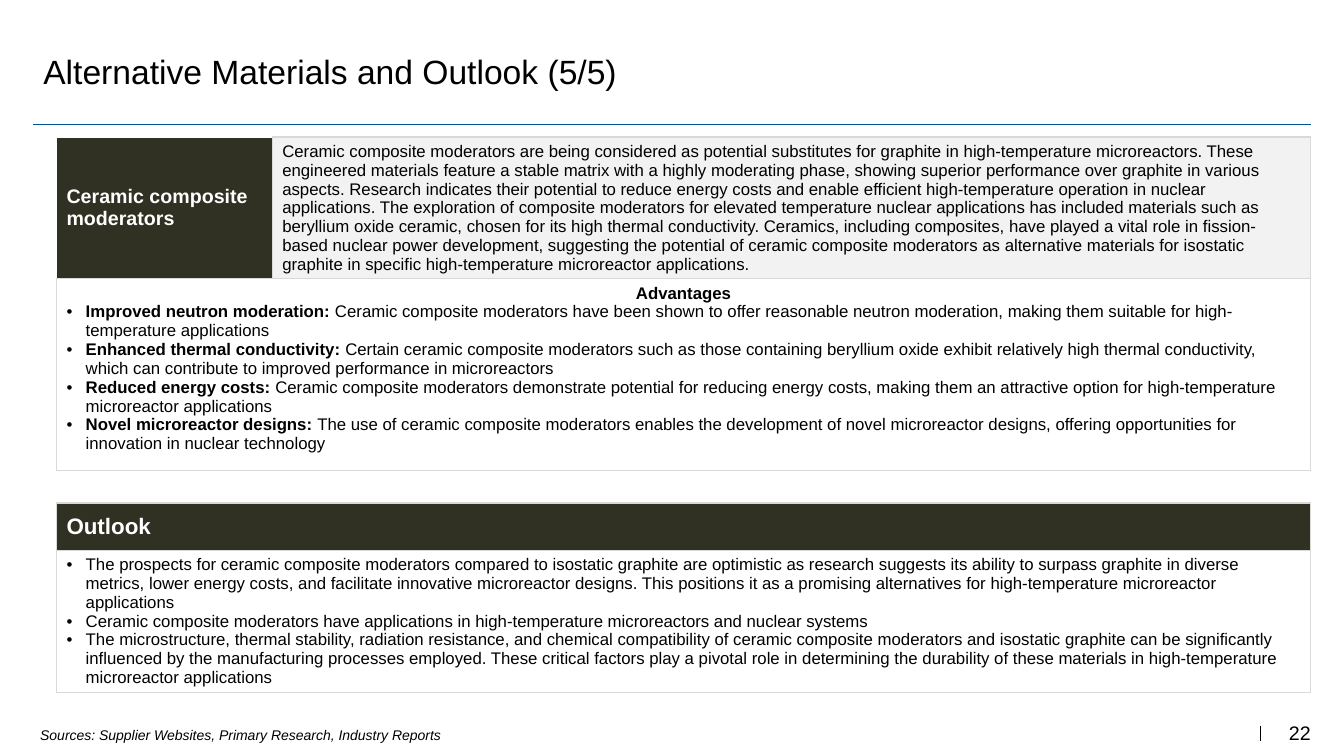
from lxml.etree import SubElement
from pptx import Presentation
from pptx.dml.color import RGBColor
from pptx.enum.shapes import MSO_CONNECTOR
from pptx.enum.text import MSO_ANCHOR, MSO_AUTO_SIZE, PP_ALIGN
from pptx.oxml.ns import qn
from pptx.util import Pt

PX = 9144
BLACK = RGBColor(0x00, 0x00, 0x00)
WHITE = RGBColor(0xFF, 0xFF, 0xFF)
OLIVE = RGBColor(0x30, 0x31, 0x23)
PALE_GREY = RGBColor(0xF2, 0xF2, 0xF2)
BORDER_GREY = RGBColor(0xD9, 0xD9, 0xD9)
RULE_BLUE = RGBColor(0x00, 0x52, 0x93)

DESCRIPTION = [
    "Ceramic composite moderators are being considered as potential substitutes for graphite in "
    "high-temperature microreactors.",
    "These engineered materials feature a stable matrix with a highly moderating phase, showing superior "
    "performance over graphite in various aspects.",
    "Research indicates their potential to reduce energy costs and enable efficient high-temperature "
    "operation in nuclear applications.",
    "The exploration of composite moderators for elevated temperature nuclear applications has included "
    "materials such as beryllium oxide ceramic, chosen for its high thermal conductivity.",
    "Ceramics, including composites, have played a vital role in fission-based nuclear power development, "
    "suggesting the potential of ceramic composite moderators as alternative materials for isostatic "
    "graphite in specific high-temperature microreactor applications.",
]
ADVANTAGES = [
    ("Improved neutron moderation: ",
     "Ceramic composite moderators have been shown to offer reasonable neutron moderation, making them "
     "suitable for high-temperature applications"),
    ("Enhanced thermal conductivity: ",
     "Certain ceramic composite moderators such as those containing beryllium oxide exhibit relatively "
     "high thermal conductivity, which can contribute to improved performance in microreactors"),
    ("Reduced energy costs: ",
     "Ceramic composite moderators demonstrate potential for reducing energy costs, making them an "
     "attractive option for high-temperature microreactor applications"),
    ("Novel microreactor designs: ",
     "The use of ceramic composite moderators enables the development of novel microreactor designs, "
     "offering opportunities for innovation in nuclear technology"),
]
OUTLOOK = [
    "The prospects for ceramic composite moderators compared to isostatic graphite are optimistic as "
    "research suggests its ability to surpass graphite in diverse metrics, lower energy costs, and "
    "facilitate innovative microreactor designs. This positions it as a promising alternatives for "
    "high-temperature microreactor applications",
    "Ceramic composite moderators have applications in high-temperature microreactors and nuclear systems",
    "The microstructure, thermal stability, radiation resistance, and chemical compatibility of ceramic "
    "composite moderators and isostatic graphite can be significantly influenced by the manufacturing "
    "processes employed. These critical factors play a pivotal role in determining the durability of these "
    "materials in high-temperature microreactor applications",
]


def write_paragraph(frame, runs, size, color=BLACK, bullet=False, align=PP_ALIGN.LEFT, italic=False):
    paragraph = frame.paragraphs[0]
    if paragraph.runs:
        paragraph = frame.add_paragraph()
    paragraph.alignment = align
    if bullet:
        properties = paragraph._p.get_or_add_pPr()
        properties.set("marL", str(19 * PX))
        properties.set("indent", str(-19 * PX))
        SubElement(properties, qn("a:buFont"), typeface="Arial")
        SubElement(properties, qn("a:buChar"), char="•")
    for text, bold in runs:
        run = paragraph.add_run()
        run.text = text
        run.font.name = "Arial"
        run.font.size = Pt(size)
        run.font.bold = bold
        run.font.italic = italic
        run.font.color.rgb = color


def style_cell(cell, fill, left_top=BORDER_GREY):
    properties = cell._tc.get_or_add_tcPr()
    edges = {"lnL": left_top, "lnR": BORDER_GREY, "lnT": left_top, "lnB": BORDER_GREY}
    for edge, color in edges.items():
        border = SubElement(properties, qn(f"a:{edge}"), w=str(Pt(1)))
        solid = SubElement(border, qn("a:solidFill"))
        SubElement(solid, qn("a:srgbClr"), val=str(color))
    cell.fill.solid()
    cell.fill.fore_color.rgb = fill


presentation = Presentation()
presentation.slide_width = 1333 * PX
presentation.slide_height = 750 * PX
slide = presentation.slides.add_slide(presentation.slide_layouts[5])

title = slide.shapes.title
title.left, title.top, title.width, title.height = 33 * PX, 20 * PX, 1267 * PX, 100 * PX
title.text_frame.auto_size = MSO_AUTO_SIZE.NONE
title.text_frame.vertical_anchor = MSO_ANCHOR.MIDDLE
write_paragraph(title.text_frame, [("Alternative Materials and Outlook (5/5)", False)], 24)

for x1, y1, x2, y2, color, width in [
    (33, 124, 1300, 124, RULE_BLUE, 0.75),
    (1250, 720, 1250, 735, BLACK, 1),
]:
    line = slide.shapes.add_connector(MSO_CONNECTOR.STRAIGHT, x1 * PX, y1 * PX, x2 * PX, y2 * PX)
    line.line.color.rgb = color
    line.line.width = Pt(width)
    SubElement(line._element.spPr, qn("a:effectLst"))

tables = []
for top, columns, rows in [(136, [214, 1030], [140, 190]), (499, [1244], [47, 141])]:
    table = slide.shapes.add_table(
        len(rows), len(columns), 56 * PX, top * PX, sum(columns) * PX, sum(rows) * PX
    ).table
    table.first_row = False
    table.horz_banding = False
    for column, width in zip(table.columns, columns):
        column.width = width * PX
    for row, height in zip(table.rows, rows):
        row.height = height * PX
    tables.append(table)
material_table, outlook_table = tables

heading = material_table.cell(0, 0)
style_cell(heading, OLIVE, left_top=WHITE)
heading.vertical_anchor = MSO_ANCHOR.MIDDLE
write_paragraph(heading.text_frame, [("Ceramic composite moderators", True)], 14, WHITE)

description = material_table.cell(0, 1)
style_cell(description, PALE_GREY)
write_paragraph(description.text_frame, [(" ".join(DESCRIPTION), False)], 12)

advantages = material_table.cell(1, 0)
advantages.merge(material_table.cell(1, 1))
for cell in (advantages, material_table.cell(1, 1)):
    style_cell(cell, WHITE)
write_paragraph(advantages.text_frame, [("Advantages", True)], 12, align=PP_ALIGN.CENTER)
for label, detail in ADVANTAGES:
    write_paragraph(advantages.text_frame, [(label, True), (detail, False)], 12, bullet=True)

outlook_heading = outlook_table.cell(0, 0)
style_cell(outlook_heading, OLIVE)
outlook_heading.vertical_anchor = MSO_ANCHOR.MIDDLE
write_paragraph(outlook_heading.text_frame, [("Outlook", True)], 16, WHITE)

outlook = outlook_table.cell(1, 0)
style_cell(outlook, WHITE)
for point in OUTLOOK:
    write_paragraph(outlook.text_frame, [(point, False)], 12, bullet=True)

sources = slide.shapes.add_textbox(30 * PX, 716 * PX, 455 * PX, 27 * PX).text_frame
sources.word_wrap = True
write_paragraph(
    sources, [("Sources: Supplier Websites, Primary Research, Industry Reports", False)], 10, italic=True
)

page_number = slide.shapes.add_textbox(1232 * PX, 712 * PX, 68 * PX, 29 * PX).text_frame
page_number.word_wrap = True
page_number.margin_left = page_number.margin_right = 0
page_number.margin_top = page_number.margin_bottom = 7 * PX
page_number.vertical_anchor = MSO_ANCHOR.MIDDLE
write_paragraph(page_number, [("22", False)], 14, align=PP_ALIGN.RIGHT)

presentation.save("out.pptx")
